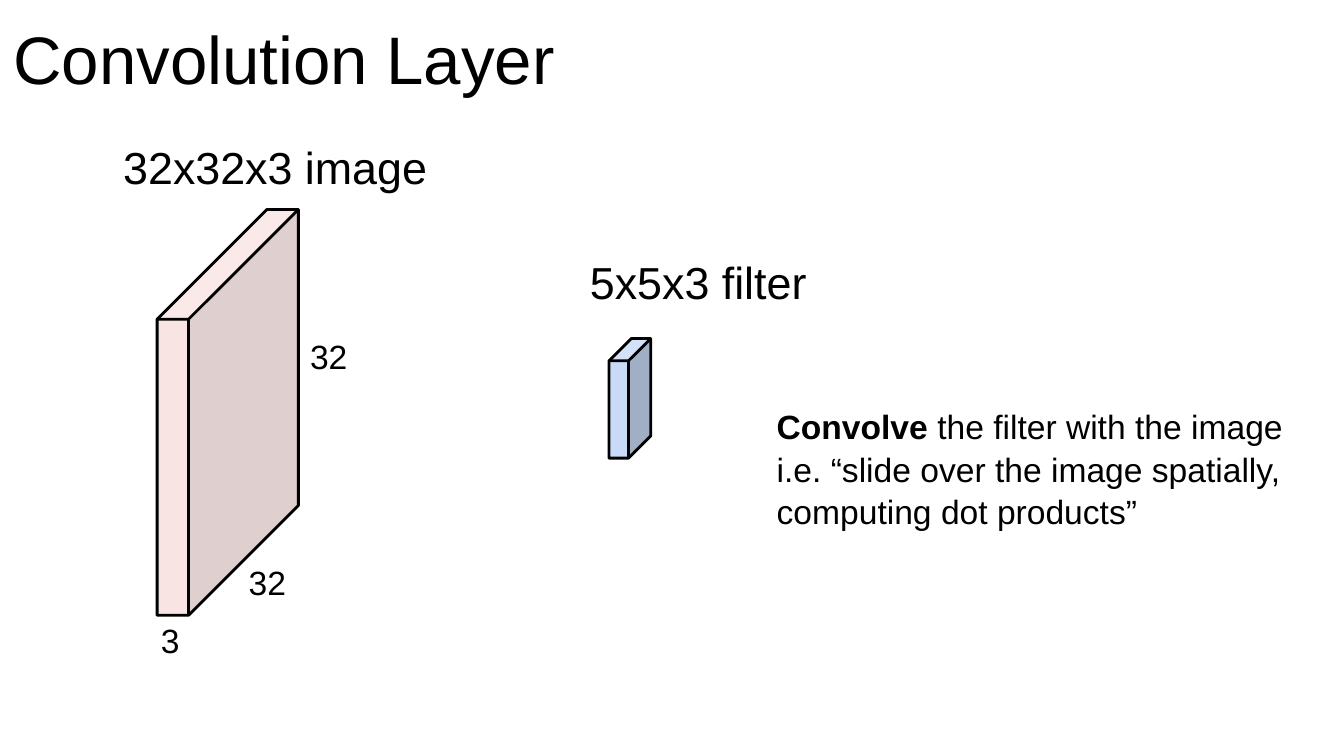
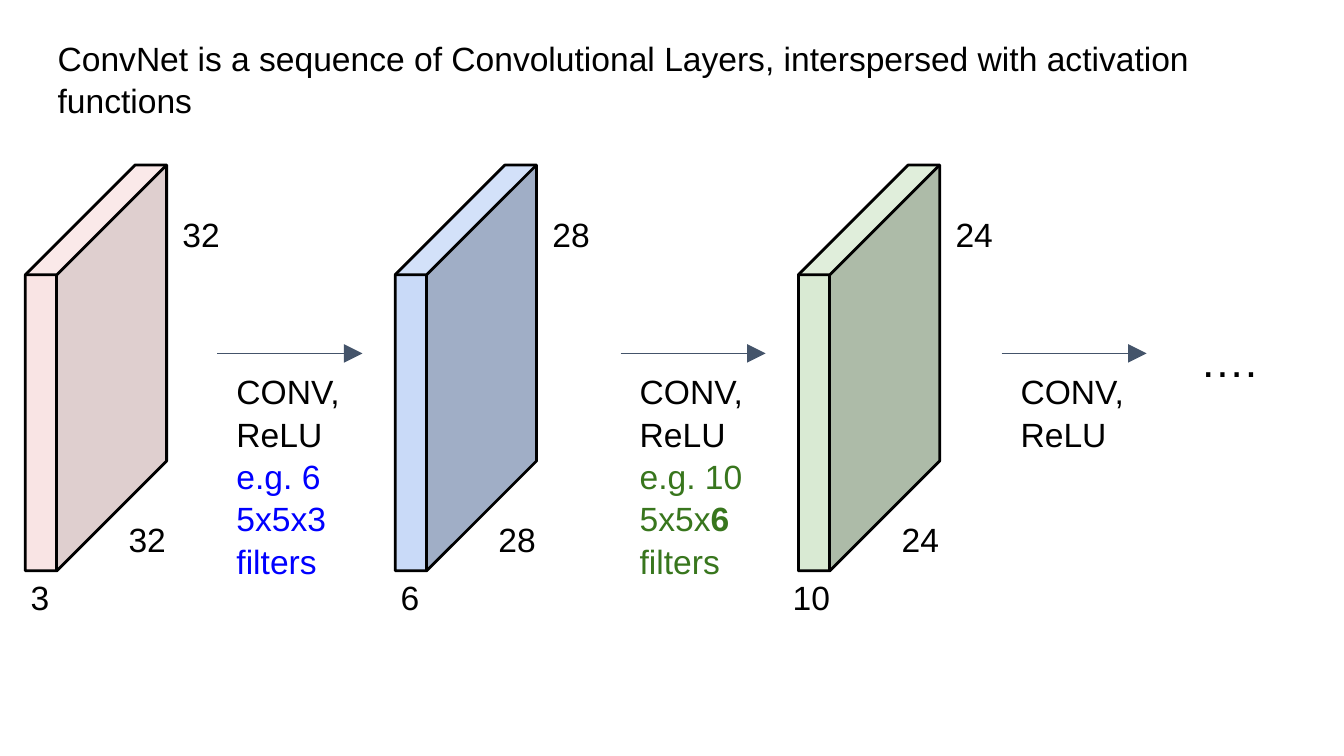
from collections import namedtuple
from dataclasses import dataclass

from lxml import etree
from pptx import Presentation
from pptx.dml.color import RGBColor
from pptx.enum import shapes, text
from pptx.oxml import ns
from pptx.util import Cm, Pt


@dataclass(frozen=True)
class Theme:
    font: str = "Arial"
    title: int = 36
    heading: int = 24
    body: int = 18
    line_spacing: float = 1.05
    ink: str = "000000"
    arrow: str = "44546A"
    pink: str = "F4CCCC"
    blue: str = "C9DAF8"
    green: str = "D9EAD3"
    blue_note: str = "0000FF"
    green_note: str = "38761D"
    pink_opacity: int = 52
    outline: float = 1.5
    arrow_line: float = 0.75


THEME = Theme()
Box = namedtuple("Box", "left top width height")
Words = namedtuple("Words", "content color bold", defaults=(THEME.ink, False))
SizeLabel = namedtuple("SizeLabel", "content dx dy")

INSET = 0.25
VOLUME_WIDTH, VOLUME_HEIGHT = 2.67, 7.67
VOLUME_SKEW, FILTER_SKEW = 0.777, 0.534
LABEL_WIDTH, LABEL_HEIGHT = 1.37, 0.8
ARROW_LENGTH = 2.74


def add_text(slide, box, paragraphs, size=THEME.body):
    frame = slide.shapes.add_textbox(*map(Cm, box)).text_frame
    frame.word_wrap = True
    frame.vertical_anchor = text.MSO_ANCHOR.TOP
    frame.margin_left = frame.margin_right = Cm(INSET)
    frame.margin_top = frame.margin_bottom = Cm(INSET)
    for index, line in enumerate(paragraphs):
        paragraph = frame.add_paragraph() if index else frame.paragraphs[0]
        paragraph.line_spacing = THEME.line_spacing
        for words in line:
            run = paragraph.add_run()
            run.text = words.content
            run.font.name = THEME.font
            run.font.size = Pt(size)
            run.font.bold = words.bold
            run.font.color.rgb = RGBColor.from_string(words.color)


def add_cuboid(slide, box, color, skew):
    cuboid = slide.shapes.add_shape(shapes.MSO_SHAPE.CUBE, *map(Cm, box))
    cuboid.shadow.inherit = False
    cuboid.adjustments[0] = skew
    cuboid.fill.solid()
    cuboid.fill.fore_color.rgb = RGBColor.from_string(color)
    if color == THEME.pink:
        fill_color = cuboid._element.spPr.find(ns.qn("a:solidFill"))[0]
        alpha = etree.SubElement(fill_color, ns.qn("a:alpha"))
        alpha.set("val", str(THEME.pink_opacity * 1000))
    cuboid.line.color.rgb = RGBColor.from_string(THEME.ink)
    cuboid.line.width = Pt(THEME.outline)


def add_volume(slide, left, top, color, labels):
    add_cuboid(slide, Box(left, top, VOLUME_WIDTH, VOLUME_HEIGHT), color, VOLUME_SKEW)
    for label in labels:
        box = Box(left + label.dx, top + label.dy, LABEL_WIDTH, LABEL_HEIGHT)
        add_text(slide, box, [[Words(label.content)]])


def add_step(slide, left, top, note, caption_width):
    arrow = slide.shapes.add_connector(
        shapes.MSO_CONNECTOR.STRAIGHT,
        Cm(left), Cm(top), Cm(left + ARROW_LENGTH), Cm(top),
    )
    arrow.line.color.rgb = RGBColor.from_string(THEME.arrow)
    arrow.line.width = Pt(THEME.arrow_line)
    properties = arrow._element.spPr
    etree.SubElement(
        properties.find(ns.qn("a:ln")), ns.qn("a:tailEnd"),
        type="triangle", w="lg", len="lg",
    )
    etree.SubElement(properties, ns.qn("a:effectLst"))

    caption = [[Words("CONV,")], [Words("ReLU")]]
    if note:
        caption.append(note)
    add_text(slide, Box(left + 0.11, top + 0.05, caption_width, 1.09), caption)


def build_convolution_slide(slide):
    add_text(slide, Box(0, 0, 21.39, 1.83), [[Words("Convolution Layer")]], THEME.title)
    add_text(slide, Box(2.08, 2.34, 9.3, 1.32), [[Words("32x32x3 image")]], THEME.heading)
    add_volume(slide, 2.97, 3.96, THEME.pink, [
        SizeLabel("32", 1.48, 6.38),
        SizeLabel("32", 2.64, 2.11),
        SizeLabel("3", -0.18, 7.47),
    ])
    add_text(slide, Box(10.9, 4.52, 5.87, 0.99), [[Words("5x5x3 filter")]], THEME.heading)
    add_cuboid(slide, Box(11.51, 6.4, 0.79, 2.26), THEME.blue, FILTER_SKEW)
    add_text(slide, Box(14.43, 7.39, 10.97, 2.11), [
        [Words("Convolve ", bold=True), Words("the filter with the image")],
        [Words("i.e. “slide over the image spatially, computing dot products”")],
    ])


def build_sequence_slide(slide):
    add_text(slide, Box(0.84, 0.43, 23.75, 2.74), [[Words(
        "ConvNet is a sequence of Convolutional Layers, "
        "interspersed with activation functions"
    )]])

    volumes = [
        (0.48, THEME.pink, "32", "3", -0.15),
        (7.47, THEME.blue, "28", "6", -0.15),
        (15.09, THEME.green, "24", "10", -0.36),
    ]
    for left, color, side, depth, depth_dx in volumes:
        add_volume(slide, left, 3.12, color, [
            SizeLabel(side, 1.7, 6.4),
            SizeLabel(side, 2.72, 0.64),
            SizeLabel(depth, depth_dx, 7.49),
        ])

    blue_note = [Words("e.g. 6 5x5x3 filters", THEME.blue_note)]
    green_note = [
        Words("e.g. 10 5x5x", THEME.green_note),
        Words("6 ", THEME.green_note, True),
        Words("filters", THEME.green_note),
    ]
    steps = [(4.11, blue_note, 2.74), (11.73, green_note, 2.95), (18.93, None, 2.74)]
    for left, note, caption_width in steps:
        add_step(slide, left, 6.68, note, caption_width)

    add_text(slide, Box(22.43, 5.99, 2.67, 0.99), [[Words("….")]], THEME.heading)


def main():
    deck = Presentation()
    deck.slide_width, deck.slide_height = Cm(25.4), Cm(14.29)
    blank = deck.slide_layouts[6]
    for build in (build_convolution_slide, build_sequence_slide):
        build(deck.slides.add_slide(blank))
    deck.save("out.pptx")


if __name__ == "__main__":
    main()
